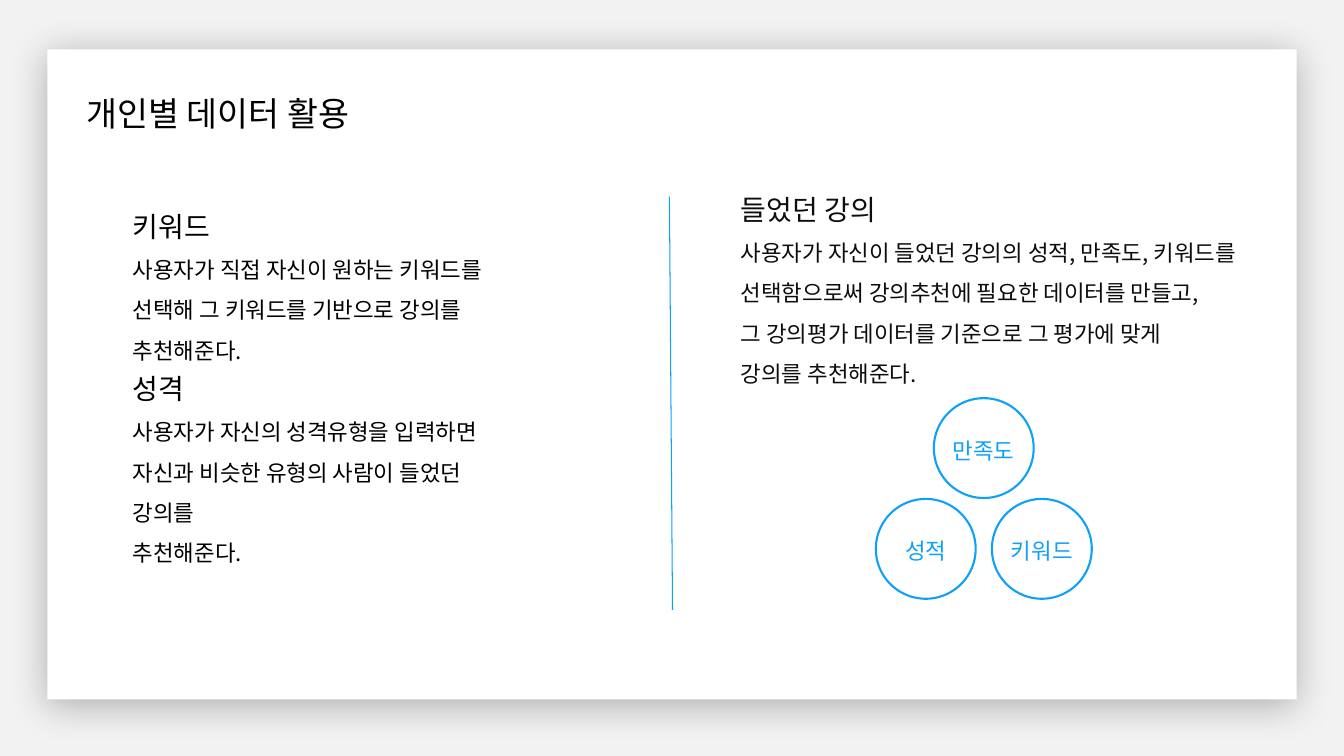
from dataclasses import dataclass

from lxml import etree
from pptx import Presentation
from pptx import util as u
from pptx.dml.color import RGBColor
from pptx.enum import shapes, text
from pptx.oxml import ns


@dataclass(frozen=True)
class Theme:
    font: str = "Noto Sans CJK KR"
    backdrop: str = "F2F2F2"
    card: str = "FFFFFF"
    shadow: str = "000000"
    ink: str = "000000"
    soft_ink: str = "0D0D0D"
    accent: str = "0FA0F9"
    title: int = 24
    heading: int = 20
    body: int = 16
    spacing: float = 1.5


class Deck:
    def __init__(self, theme):
        self.theme = theme
        self.prs = Presentation()
        self.prs.slide_width = u.Inches(13.33)
        self.prs.slide_height = u.Inches(7.5)
        self.s = self.prs.slides.add_slide(self.prs.slide_layouts[6])

    def x(self, share):
        return u.Emu(round(self.prs.slide_width * share / 100))

    def y(self, share):
        return u.Emu(round(self.prs.slide_height * share / 100))

    def box(self, left, top, width, height):
        return self.x(left), self.y(top), self.x(width), self.y(height)

    def run(self, p, words, size, color):
        r = p.add_run()
        r.text = words
        r.font.size = u.Pt(size)
        r.font.color.rgb = RGBColor.from_string(color)
        r.font.name = self.theme.font
        ea = etree.SubElement(r.font._element, ns.qn("a:ea"))
        ea.set("typeface", self.theme.font)

    def panel(self, area, color):
        sp = self.s.shapes.add_shape(shapes.MSO_SHAPE.RECTANGLE, *self.box(*area))
        sp.shadow.inherit = False
        sp.fill.solid()
        sp.fill.fore_color.rgb = RGBColor.from_string(color)
        sp.line.fill.background()
        return sp

    def card(self, area):
        sp = self.panel(area, self.theme.card)
        effects = sp._element.spPr.find(ns.qn("a:effectLst"))
        shadow = etree.SubElement(
            effects, ns.qn("a:outerShdw"), blurRad=str(u.Pt(28)),
            dist=str(u.Pt(4)), dir="5400000", algn="ctr", rotWithShape="0")
        color = etree.SubElement(shadow, ns.qn("a:srgbClr"), val=self.theme.shadow)
        etree.SubElement(color, ns.qn("a:alpha"), val="28000")

    def textbox(self, area, lines, color, spacing=None):
        tf = self.s.shapes.add_textbox(*self.box(*area)).text_frame
        tf.word_wrap = True
        tf.auto_size = text.MSO_AUTO_SIZE.SHAPE_TO_FIT_TEXT
        for i, (words, size) in enumerate(lines):
            p = tf.add_paragraph() if i else tf.paragraphs[0]
            p.line_spacing = spacing
            self.run(p, words, size, color)

    def section(self, area, heading, body, color):
        t = self.theme
        lines = [(heading, t.heading)] + [(words, t.body) for words in body]
        self.textbox(area, lines, color, t.spacing)

    def divider(self, x1, y1, x2, y2):
        line = self.s.shapes.add_connector(
            shapes.MSO_CONNECTOR.STRAIGHT,
            self.x(x1), self.y(y1), self.x(x2), self.y(y2))
        line.line.color.rgb = RGBColor.from_string(self.theme.accent)
        line.line.width = u.Pt(0.75)
        etree.SubElement(line._element.spPr, ns.qn("a:effectLst"))

    def circle(self, center, top, diameter, label):
        size = self.x(diameter)
        sp = self.s.shapes.add_shape(
            shapes.MSO_SHAPE.OVAL, self.x(center - diameter / 2), self.y(top), size, size)
        sp.shadow.inherit = False
        sp.fill.background()
        sp.line.color.rgb = RGBColor.from_string(self.theme.accent)
        sp.line.width = u.Pt(1.5)
        tf = sp.text_frame
        tf.margin_left = tf.margin_right = tf.margin_bottom = 0
        tf.margin_top = u.Inches(0.04)
        tf.word_wrap = False
        tf.vertical_anchor = text.MSO_ANCHOR.MIDDLE
        p = tf.paragraphs[0]
        p.alignment = text.PP_ALIGN.CENTER
        self.run(p, label, self.theme.body, self.theme.accent)


def main():
    theme = Theme()
    deck = Deck(theme)
    deck.panel((0, 0, 100, 100), theme.backdrop)
    deck.card((3.53, 6.53, 92.95, 86))
    deck.textbox((5.7, 11.6, 42.46, 6.67),
                 [("개인별 데이터 활용", theme.title)], theme.ink)

    left, width = 9.15, 30.5
    deck.section((left, 24.8, width, 18.8), "키워드", [
        "사용자가 직접 자신이 원하는 키워드를 선택해 그 키워드를 기반으로 강의를 추천해준다.",
    ], theme.ink)
    deck.section((54.39, 22.53, 38.86, 35.07), "들었던 강의", [
        "사용자가 자신이 들었던 강의의 성적, 만족도, 키워드를",
        "선택함으로써 강의추천에 필요한 데이터를 만들고,",
        "그 강의평가 데이터를 기준으로 그 평가에 맞게",
        "강의를 추천해준다.",
    ], theme.soft_ink)
    deck.divider(50.04, 80.67, 49.81, 26)
    deck.section((left, 46.27, width, 24.27), "성격", [
        "사용자가 자신의 성격유형을 입력하면",
        "자신과 비슷한 유형의 사람이 들었던 강의를",
        "추천해준다.",
    ], theme.ink)

    middle, step, diameter = 73.2, 4.32, 7.43
    upper, lower = 52.67, 66
    for i, (label, top) in enumerate(
            [("성적", lower), ("만족도", upper), ("키워드", lower)]):
        deck.circle(middle + (i - 1) * step, top, diameter, label)
    deck.prs.save("out.pptx")


if __name__ == "__main__":
    main()
